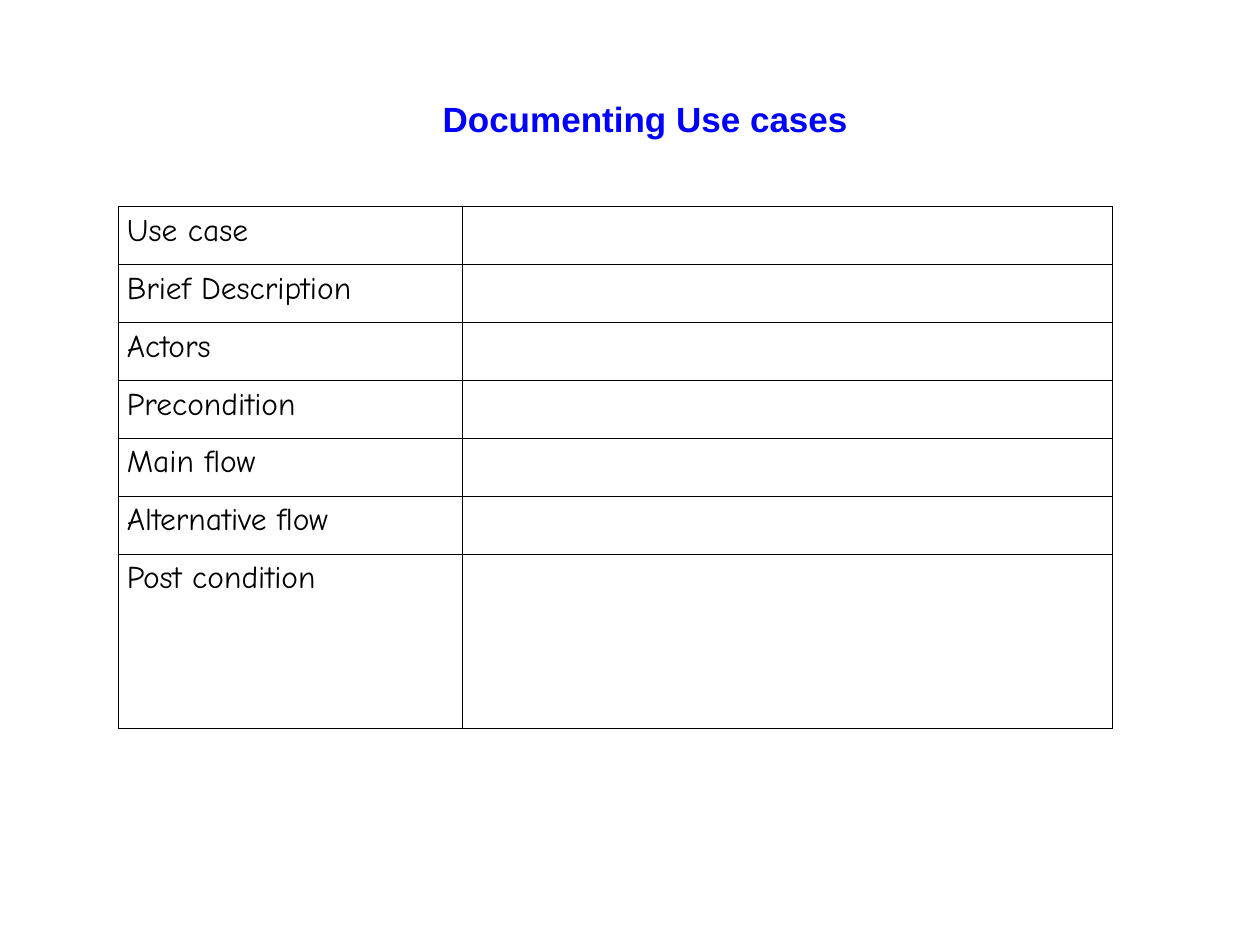
from dataclasses import dataclass

import lxml.etree
import pptx
import pptx.dml.color
import pptx.enum.text
import pptx.oxml.ns
import pptx.util

Pt = pptx.util.Pt
COLORS = {"title": "0000FF", "ink": "000000"}
COLUMN_WIDTHS = (196.6, 371.5)
ROW_HEIGHT = 33.12
BORDER_WIDTH = 0.45


@dataclass
class Row:
    label: str
    height: float = ROW_HEIGHT


ROWS = [
    Row("Use case"),
    Row("Brief Description"),
    Row("Actors"),
    Row("Precondition"),
    Row("Main flow"),
    Row("Alternative flow"),
    Row("Post condition", 3 * ROW_HEIGHT),
]


def add_run(p, text: str, font: str, size: float, color: str, bold: bool = False) -> None:
    r = p.add_run()
    r.text = text
    r.font.name = font
    r.font.size = Pt(size)
    r.font.bold = bold
    r.font.color.rgb = pptx.dml.color.RGBColor.from_string(COLORS[color])


def add_title(s, text: str) -> None:
    sp = s.shapes.add_textbox(Pt(95.8), Pt(16.6), Pt(545.8), Pt(102.2))
    tf = sp.text_frame
    tf.word_wrap = True
    tf.vertical_anchor = pptx.enum.text.MSO_ANCHOR.MIDDLE
    p = tf.paragraphs[0]
    p.alignment = pptx.enum.text.PP_ALIGN.CENTER
    add_run(p, text, "Arial", 20, "title", True)


def style_cell(cell) -> None:
    qn = pptx.oxml.ns.qn
    tc_pr = cell._tc.get_or_add_tcPr()
    for side in ("lnL", "lnR", "lnT", "lnB"):
        ln = lxml.etree.SubElement(tc_pr, qn(f"a:{side}"), w=str(Pt(BORDER_WIDTH)))
        fill = lxml.etree.SubElement(ln, qn("a:solidFill"))
        lxml.etree.SubElement(fill, qn("a:srgbClr"), val=COLORS["ink"])
    cell.fill.background()
    cell.margin_left = cell.margin_right = Pt(5)
    cell.margin_top = cell.margin_bottom = Pt(3.6)


def add_use_case_table(s, rows: list[Row]) -> None:
    width = sum(COLUMN_WIDTHS)
    height = sum(row.height for row in rows)
    frame = s.shapes.add_table(
        len(rows), len(COLUMN_WIDTHS), Pt(67.5), Pt(118), Pt(width), Pt(height)
    )
    table = frame.table
    table.first_row = table.horz_banding = False
    for column, column_width in zip(table.columns, COLUMN_WIDTHS):
        column.width = Pt(column_width)
    for i, row in enumerate(rows):
        table.rows[i].height = Pt(row.height)
        p = table.cell(i, 0).text_frame.paragraphs[0]
        add_run(p, row.label, "Comic Neue", 18, "ink")
    for cell in table.iter_cells():
        style_cell(cell)


def main() -> None:
    prs = pptx.Presentation()
    prs.slide_width, prs.slide_height = Pt(720), Pt(540)
    s = prs.slides.add_slide(prs.slide_layouts[6])
    add_title(s, "Documenting Use cases")
    add_use_case_table(s, ROWS)
    prs.save("out.pptx")


if __name__ == "__main__":
    main()
